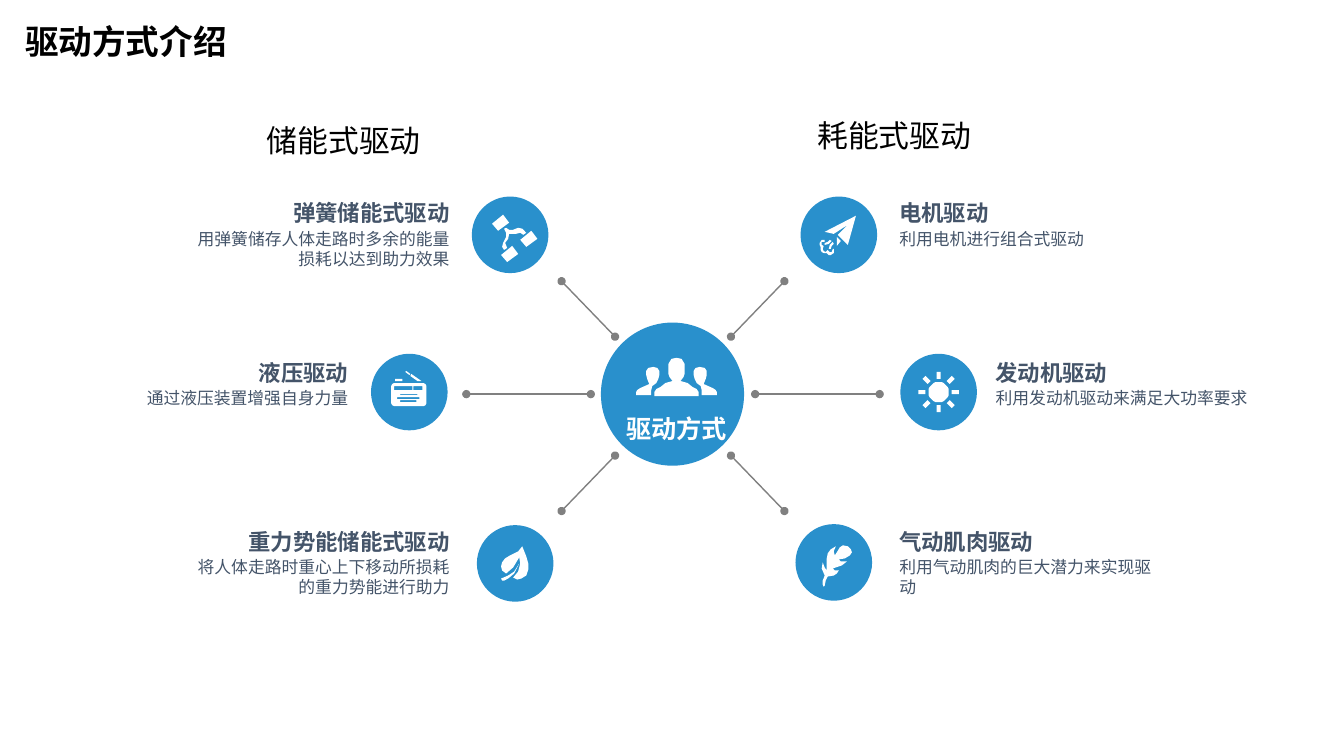
import math
import pptx
import pptx.util
import pptx.dml.color
import pptx.enum.shapes
import pptx.enum.text
import pptx.oxml.ns
import lxml.etree

rgb = pptx.dml.color.RGBColor.from_string
align = pptx.enum.text.PP_ALIGN
BLUE, WHITE, SLATE, GREY, BLACK = "2990CC", "FFFFFF", "445469", "808080", "000000"

COLUMNS, ROWS = 1333, 750
CELL = pptx.util.Inches(0.01)
deck = pptx.Presentation()
deck.slide_width, deck.slide_height = COLUMNS * CELL, ROWS * CELL
slide = deck.slides.add_slide(deck.slide_layouts[6])
shapes = slide.shapes


def add_text(words, box, size, color, font="Arial", bold=False, side=align.LEFT, inset=True, wrap=True):
    frame = shapes.add_textbox(*[length * CELL for length in box]).text_frame
    frame.word_wrap = wrap
    frame.auto_size = pptx.enum.text.MSO_AUTO_SIZE.SHAPE_TO_FIT_TEXT
    if not inset:
        frame.margin_left = frame.margin_top = frame.margin_right = frame.margin_bottom = 0
    line = frame.paragraphs[0]
    line.text = words
    line.alignment = side
    line.font.name, line.font.size, line.font.bold = font, pptx.util.Pt(size), bold
    line.font.color.rgb = rgb(color)


def add_icon(*contours):
    pen = shapes.build_freeform(*contours[0][0], scale=CELL)
    for contour in contours:
        if contour is not contours[0]:
            pen.move_to(*contour[0])
        pen.add_line_segments(contour[1:], close=True)
    icon = pen.convert_to_shape()
    icon.shadow.inherit = False
    icon.fill.solid()
    icon.fill.fore_color.rgb = rgb(WHITE)
    icon.line.fill.background()


add_text("驱动方式介绍", (15, 16, 248, 50), 24, BLACK, "Noto Sans CJK SC", True)
add_text("储能式驱动", (255, 116, 437, 45), 22, BLACK, "Calibri")
add_text("耗能式驱动", (801, 111, 437, 45), 22, BLACK, "Calibri")

HEADING_WIDTH, NOTE_WIDTH = 214, 255
branches = [
    (align.RIGHT, 446, 198, "弹簧储能式驱动", "用弹簧储存人体走路时多余的能量损耗以达到助力效果"),
    (align.RIGHT, 345.5, 356, "液压驱动", "通过液压装置增强自身力量"),
    (align.RIGHT, 446, 524, "重力势能储能式驱动", "将人体走路时重心上下移动所损耗的重力势能进行助力"),
    (align.LEFT, 892, 198, "电机驱动", "利用电机进行组合式驱动"),
    (align.LEFT, 987.5, 356, "发动机驱动", "利用发动机驱动来满足大功率要求"),
    (align.LEFT, 892, 524, "气动肌肉驱动", "利用气动肌肉的巨大潜力来实现驱动"),
]
for side, edge, top, heading, note in branches:
    for words, width, drop, size in ((heading, HEADING_WIDTH, 0, 16), (note, NOTE_WIDTH, 28.5, 12)):
        left = edge - width if side == align.RIGHT else edge
        add_text(words, (left, top + drop, width, size * 1.65), size, SLATE,
                 bold=words == heading, side=side, inset=False)

SUN = (931, 389)
NODE = 76
discs = [(667, 391, 142), (506, 233, NODE), (406, 389, NODE), (511, 559, NODE),
         (832, 233, NODE), (*SUN, NODE), (827, 558, NODE)]
for center_x, center_y, size in discs:
    disc = shapes.add_shape(pptx.enum.shapes.MSO_SHAPE.OVAL, (center_x - size / 2) * CELL,
                            (center_y - size / 2) * CELL, size * CELL, size * CELL)
    disc.shadow.inherit = False
    disc.fill.solid()
    disc.fill.fore_color.rgb = rgb(BLUE)
    disc.line.fill.background()

SPOKE_X = 667.5
spokes = [(57.5, 334, 110.5, 279), (81.5, 391, 205, 391), (57.5, 452, 110.5, 507)]
for near, near_y, far, far_y in spokes:
    for direction in (-1, 1):
        spoke = shapes.add_connector(
            pptx.enum.shapes.MSO_CONNECTOR.STRAIGHT,
            int((SPOKE_X + direction * near) * CELL), near_y * CELL,
            int((SPOKE_X + direction * far) * CELL), far_y * CELL)
        spoke.line.color.rgb = rgb(GREY)
        spoke.line.width = pptx.util.Pt(1)
        outline = spoke.line._get_or_add_ln()
        for end in ("a:headEnd", "a:tailEnd"):
            lxml.etree.SubElement(outline, pptx.oxml.ns.qn(end), type="oval")
        lxml.etree.SubElement(spoke._element.spPr, pptx.oxml.ns.qn("a:effectLst"))

add_icon(
    [(522, 231), (519, 233), (516, 231), (512, 232), (505, 232), (504, 237), (501, 241), (503, 246),
     (500, 248), (498, 245), (499, 241), (502, 235), (502, 231), (500, 227), (502, 226), (505, 228),
     (509, 228), (514, 226), (518, 227)],
    [(499, 213), (488, 222), (494, 229), (505, 221)],
    [(497, 253), (508, 244), (514, 252), (503, 260)],
    [(527, 229), (533, 237), (522, 245), (516, 238)])

radio_bars = [(391, 383, 409, 387), (410, 383, 419, 387), (397, 391, 414, 392),
              (394, 394, 416, 396), (397, 397, 413, 399), (392, 376, 399, 378)]
add_icon(
    [(388, 383), (389, 381), (391, 380), (420, 380), (422, 381), (423, 383),
     (423, 400), (422, 402), (420, 403), (391, 403), (389, 402), (388, 400)],
    [(402, 369), (403, 368), (407, 371), (406, 372)],
    [(408, 371), (418, 378), (414, 378), (407, 373)],
    *[[(left, top), (right, top), (right, bottom), (left, bottom)]
      for left, top, right, bottom in radio_bars])

add_icon(
    [(518, 542), (514, 547), (510, 549), (506, 551), (501, 554), (498, 558), (497, 562), (498, 566),
     (502, 569), (509, 563), (515, 553), (516, 559), (514, 567), (509, 573), (513, 575), (517, 574),
     (522, 571), (524, 565), (524, 559), (522, 552)],
    [(497, 574), (498, 576), (500, 576), (504, 574), (510, 569), (515, 559), (510, 567), (504, 571)])

add_icon(
    [(818, 230), (827, 232), (841, 223), (831, 233), (841, 243), (849, 214)],
    [(830, 244), (834, 239), (830, 235)],
    [(826, 240), (827, 242), (825, 244), (824, 247), (822, 247), (823, 243)],
    [(824, 253), (822, 253), (820, 251), (817, 251), (815, 250), (814, 248), (814, 245), (813, 243),
     (813, 241), (815, 238), (818, 238), (818, 240), (815, 240), (815, 243), (817, 244), (816, 247),
     (817, 249), (819, 250), (821, 248), (823, 250), (825, 250), (826, 247), (827, 247), (827, 251)],
    [(818, 241), (818, 243), (822, 242), (825, 239), (823, 238), (821, 240)])

sun_disc = [(SUN[0] + 10 * math.cos(turn * math.pi / 12), SUN[1] + 10 * math.sin(turn * math.pi / 12))
            for turn in range(24)]
sun_rays = [[(SUN[0] + along * math.cos(angle) - across * math.sin(angle),
              SUN[1] + along * math.sin(angle) + across * math.cos(angle))
             for along, across in ((13, -2), (20, -2), (20, 2), (13, 2))]
            for angle in [turn * math.pi / 4 for turn in range(8)]]
add_icon(sun_disc, *sun_rays)

add_icon(
    [(818, 581), (819, 576), (821, 572), (827, 571), (830, 569), (832, 566), (828, 566), (826, 564),
     (829, 563), (835, 561), (840, 557), (834, 557), (832, 555), (838, 554), (843, 551), (845, 548),
     (844, 545), (841, 542), (836, 541), (833, 543), (830, 548), (828, 551), (827, 547), (829, 542),
     (824, 545), (821, 549), (820, 554), (820, 561), (820, 566), (818, 563), (816, 558), (815, 564),
     (818, 571), (816, 576), (816, 580), (817, 582)])

PEOPLE_X = 671
side_person = [(40, 392), (40, 389), (39, 387), (36, 385), (27, 381), (29, 376), (30, 372), (30, 368),
               (28, 365), (23, 364), (19, 365), (17, 368), (17, 372), (18, 376), (20, 380), (24, 383),
               (25, 387), (25, 392)]
front_half = [(0, 355), (5, 356), (8, 361), (8, 371), (7, 374), (4, 378), (11, 380), (16, 384),
              (20, 386), (22, 389), (22, 393)]
for direction in (-1, 1):
    add_icon([(PEOPLE_X + direction * across, down) for across, down in side_person])
add_icon([(PEOPLE_X + across, down) for across, down in front_half]
         + [(PEOPLE_X - across, down) for across, down in reversed(front_half)])

add_text("驱动方式", (611, 405, 120, 39), 18, WHITE, bold=True, side=align.CENTER, wrap=False)

deck.save("out.pptx")
